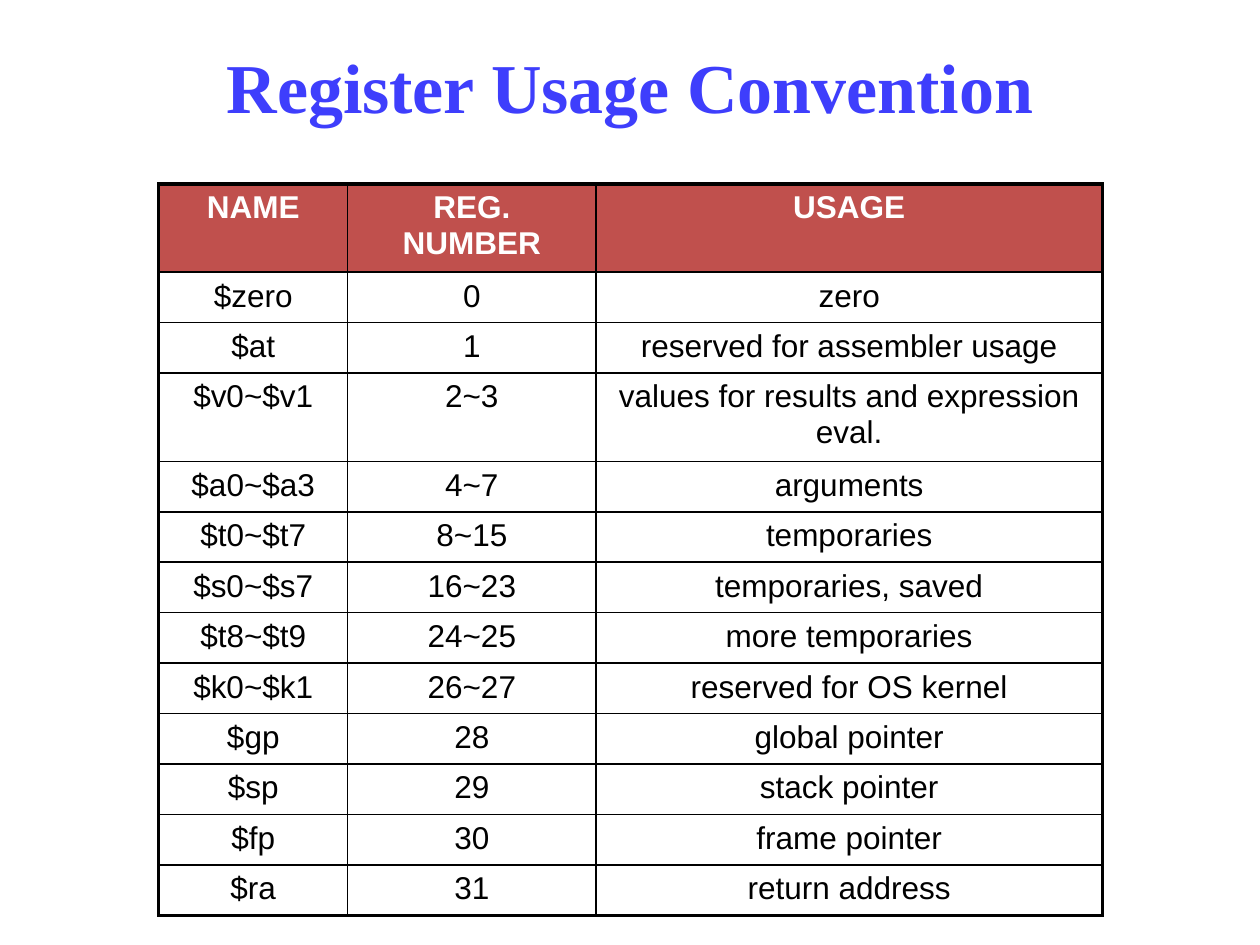
"""Build a slide with a table of register usage conventions."""
import lxml.etree
import pptx
import pptx.dml.color
import pptx.enum.text
import pptx.oxml.ns
import pptx.util

TITLE = "Register Usage Convention"
ROWS = [
    ("NAME", "REG. NUMBER", "USAGE"),
    ("$zero", "0", "zero"),
    ("$at", "1", "reserved for assembler usage"),
    ("$v0~$v1", "2~3", "values for results and expression eval."),
    ("$a0~$a3", "4~7", "arguments"),
    ("$t0~$t7", "8~15", "temporaries"),
    ("$s0~$s7", "16~23", "temporaries, saved"),
    ("$t8~$t9", "24~25", "more temporaries"),
    ("$k0~$k1", "26~27", "reserved for OS kernel"),
    ("$gp", "28", "global pointer"),
    ("$sp", "29", "stack pointer"),
    ("$fp", "30", "frame pointer"),
    ("$ra", "31", "return address"),
]
WIDTHS = (1.5, 1.97, 4.02)
TALL = (0, 3)
HIGH, LOW = 0.7, 0.4
LEFT, TOP = 1.26, 1.46
WIDE, DEEP = 10, 7.5

THEME = {
    "title": {"name": "Times New Roman", "size": 40, "color": "3E3EFC", "bold": True},
    "head": {"name": "Arial", "size": 18, "color": "FFFFFF", "bold": True},
    "body": {"name": "Arial", "size": 18, "color": "000000", "bold": False},
    "fill": "C0504D",
    "edge": "000000",
    "outer": 2.25,
    "inner": 1,
    "gap": 20000,
}

Inch = pptx.util.Inches
Pt = pptx.util.Pt


def color(code):
    return pptx.dml.color.RGBColor.from_string(code)


def child(node, tag, **attrs):
    return lxml.etree.SubElement(node, pptx.oxml.ns.qn(tag), **attrs)


def write(frame, text, style):
    para = frame.paragraphs[0]
    para.alignment = pptx.enum.text.PP_ALIGN.CENTER
    run = para.add_run()
    run.text = text
    look = {**style, "size": Pt(style["size"])}
    run.font.color.rgb = color(look.pop("color"))
    for key, value in look.items():
        setattr(run.font, key, value)
    return para


def border(cell, sides):
    props = cell._tc.get_or_add_tcPr()
    for side, outer in sides.items():
        width = Pt(THEME["outer" if outer else "inner"])
        line = child(props, f"a:ln{side}", w=str(width))
        child(child(line, "a:solidFill"), "a:srgbClr", val=THEME["edge"])


def title(slide):
    box = slide.shapes.add_textbox(
        Inch(WIDE * 0.05), Inch(0.05), Inch(WIDE * 0.9), Inch(1.25))
    frame = box.text_frame
    frame.word_wrap = True
    frame.vertical_anchor = pptx.enum.text.MSO_ANCHOR.MIDDLE
    write(frame, TITLE, THEME["title"])


def table(slide):
    highs = [HIGH if i in TALL else LOW for i in range(len(ROWS))]
    grid = slide.shapes.add_table(
        len(ROWS), len(WIDTHS), Inch(LEFT), Inch(TOP),
        Inch(sum(WIDTHS)), Inch(sum(highs))).table
    grid.horz_banding = False
    for col, width in zip(grid.columns, WIDTHS):
        col.width = Inch(width)
    for row, high in zip(grid.rows, highs):
        row.height = Inch(high)
    for i, row in enumerate(ROWS):
        for j, text in enumerate(row):
            cell = grid.cell(i, j)
            para = write(cell.text_frame, text, THEME["body" if i else "head"])
            space = child(para._p.get_or_add_pPr(), "a:spcBef")
            child(space, "a:spcPct", val=str(THEME["gap"]))
            border(cell, {"L": j == 0, "R": j == len(row) - 1,
                          "T": i == 0, "B": i == len(ROWS) - 1})
            if i:
                cell.fill.background()
            else:
                cell.fill.solid()
                cell.fill.fore_color.rgb = color(THEME["fill"])


def main():
    deck = pptx.Presentation()
    deck.slide_width, deck.slide_height = Inch(WIDE), Inch(DEEP)
    slide = deck.slides.add_slide(deck.slide_layouts[6])
    title(slide)
    table(slide)
    deck.save("out.pptx")


if __name__ == "__main__":
    main()
